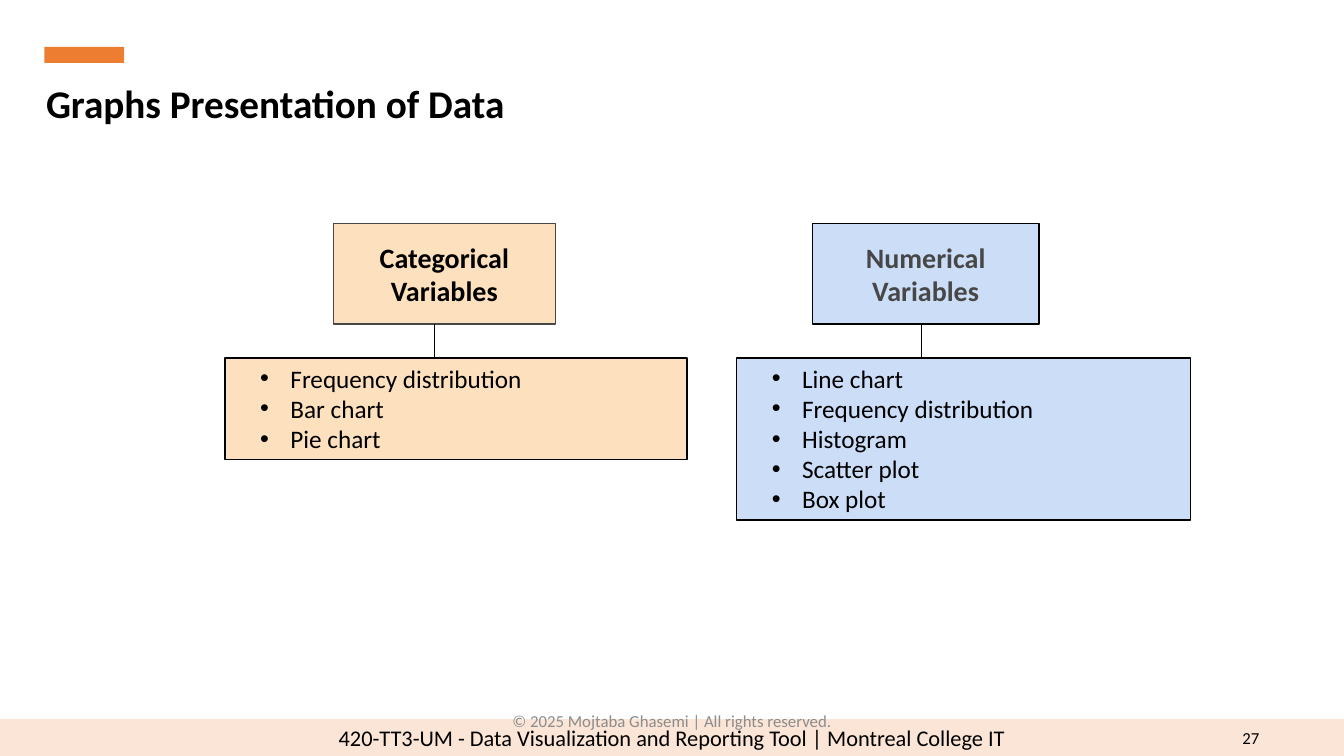
from lxml.etree import SubElement
from pptx import Presentation
from pptx.dml.color import RGBColor
from pptx.enum.shapes import MSO_CONNECTOR as Connector, MSO_SHAPE as Shape
from pptx.enum.text import MSO_ANCHOR as Anchor, PP_ALIGN as Align
from pptx.oxml.ns import qn
from pptx.util import Inches, Pt

COLUMNS, ROWS = 16, 9
BLACK, GREY, DARK = "000000", "8C8C8C", "474747"
PEACH, BLUE, ORANGE, FOOTER = "FDE0BD", "CBDDF7", "ED7D31", "FBE5D6"
HEADER_TOP, HEADER_HEIGHT, LIST_TOP = 2.66, 1.2, 4.26
LIST_PADDING, LIST_LINE = 0.13, 0.36


def color(value):
    return RGBColor.from_string(value)


class SlideBuilder:
    font_name = "Calibri"

    def __init__(self, deck):
        self.page = deck.slides.add_slide(deck.slide_layouts[6])
        self.column = deck.slide_width / COLUMNS
        self.row = deck.slide_height / ROWS

    def place(self, left, top, width, height):
        return (int(left * self.column), int(top * self.row),
                int(width * self.column), int(height * self.row))

    def fill_text(self, box, lines, size, ink=BLACK, bold=False,
                  align=Align.LEFT, anchor=Anchor.TOP, bullets=False):
        frame = box.text_frame
        frame.word_wrap = True
        frame.vertical_anchor = anchor
        frame.text = "\n".join(lines)
        for para in frame.paragraphs:
            para.alignment = align
            if bullets:
                self.add_bullet(para)
            for span in para.runs:
                span.font.name = self.font_name
                span.font.size = Pt(size)
                span.font.bold = bold
                span.font.color.rgb = color(ink)

    def add_bullet(self, para):
        properties = para._p.get_or_add_pPr()
        properties.set("marL", str(Inches(0.55)))
        properties.set("indent", str(-Inches(0.3)))
        SubElement(properties, qn("a:buFont"), typeface="Arial")
        SubElement(properties, qn("a:buChar"), char="•")

    def rectangle(self, area, fill, outline=None):
        box = self.page.shapes.add_shape(Shape.RECTANGLE, *self.place(*area))
        box.shadow.inherit = False
        box.fill.solid()
        box.fill.fore_color.rgb = color(fill)
        if outline:
            box.line.color.rgb = color(outline)
            box.line.width = Pt(1)
        else:
            box.line.fill.background()
        return box

    def label(self, area, text, size, **style):
        box = self.page.shapes.add_textbox(*self.place(*area))
        self.fill_text(box, [text], size, **style)

    def stem(self, x, top, bottom):
        left, start, _, length = self.place(x, top, 0, bottom - top)
        line = self.page.shapes.add_connector(
            Connector.STRAIGHT, left, start, left, start + length)
        line.line.color.rgb = color(BLACK)
        line.line.width = Pt(0.75)
        SubElement(line._element.spPr, qn("a:effectLst"))

    def branch(self, header, header_span, items, list_span, stem_x,
               fill, ink, outline):
        left, width = header_span
        box = self.rectangle((left, HEADER_TOP, width, HEADER_HEIGHT), fill, outline)
        self.fill_text(box, header, 20, ink=ink, bold=True,
                       align=Align.CENTER, anchor=Anchor.MIDDLE)
        left, width = list_span
        height = LIST_PADDING + LIST_LINE * len(items)
        box = self.rectangle((left, LIST_TOP, width, height), fill, BLACK)
        self.fill_text(box, items, 18, bullets=True)
        self.stem(stem_x, HEADER_TOP + HEADER_HEIGHT, LIST_TOP)


def main():
    deck = Presentation()
    deck.slide_width, deck.slide_height = Inches(13.33), Inches(7.5)
    slide = SlideBuilder(deck)

    footer = slide.rectangle((0, 8.56, COLUMNS, 0.44), FOOTER)
    slide.fill_text(footer, ["420-TT3-UM - Data Visualization and Reporting Tool | Montreal College IT"],
                    16, align=Align.CENTER)
    slide.label((14.65, 8.54, 0.46, 0.48), "27", 12,
                align=Align.RIGHT, anchor=Anchor.MIDDLE)
    slide.rectangle((0.53, 0.56, 0.95, 0.19), ORANGE)
    slide.label((0.43, 0.88, 13.74, 0.68), "Graphs Presentation of Data", 28, bold=True)

    slide.branch(["Categorical", "Variables"], (3.97, 2.64),
                 ["Frequency distribution", "Bar chart", "Pie chart"],
                 (2.68, 5.5), 5.17, PEACH, BLACK, DARK)
    slide.branch(["Numerical", "Variables"], (9.67, 2.7),
                 ["Line chart", "Frequency distribution", "Histogram", "Scatter plot", "Box plot"],
                 (8.77, 5.4), 10.97, BLUE, DARK, BLACK)

    slide.label((5.3, 8.34, 5.4, 0.48), "© 2025 Mojtaba Ghasemi | All rights reserved.",
                12, ink=GREY, align=Align.CENTER, anchor=Anchor.MIDDLE)
    deck.save("out.pptx")


if __name__ == "__main__":
    main()
